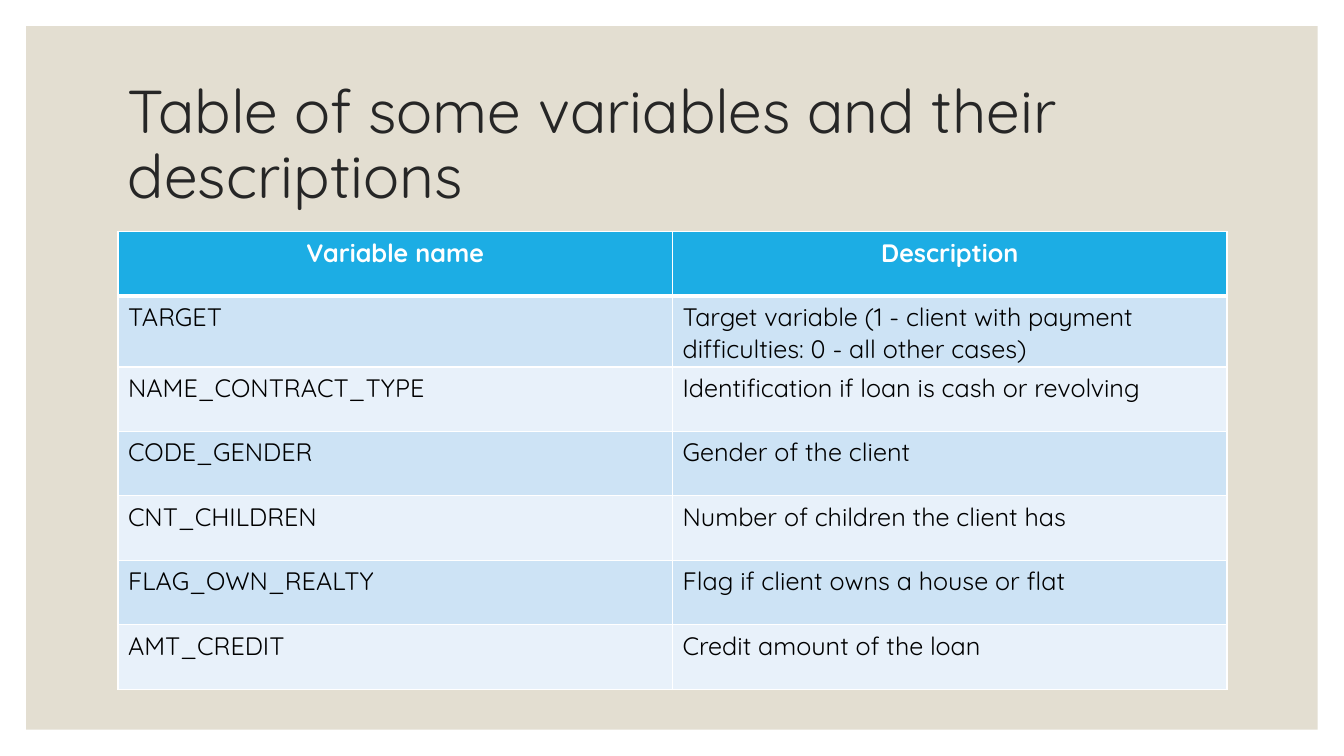
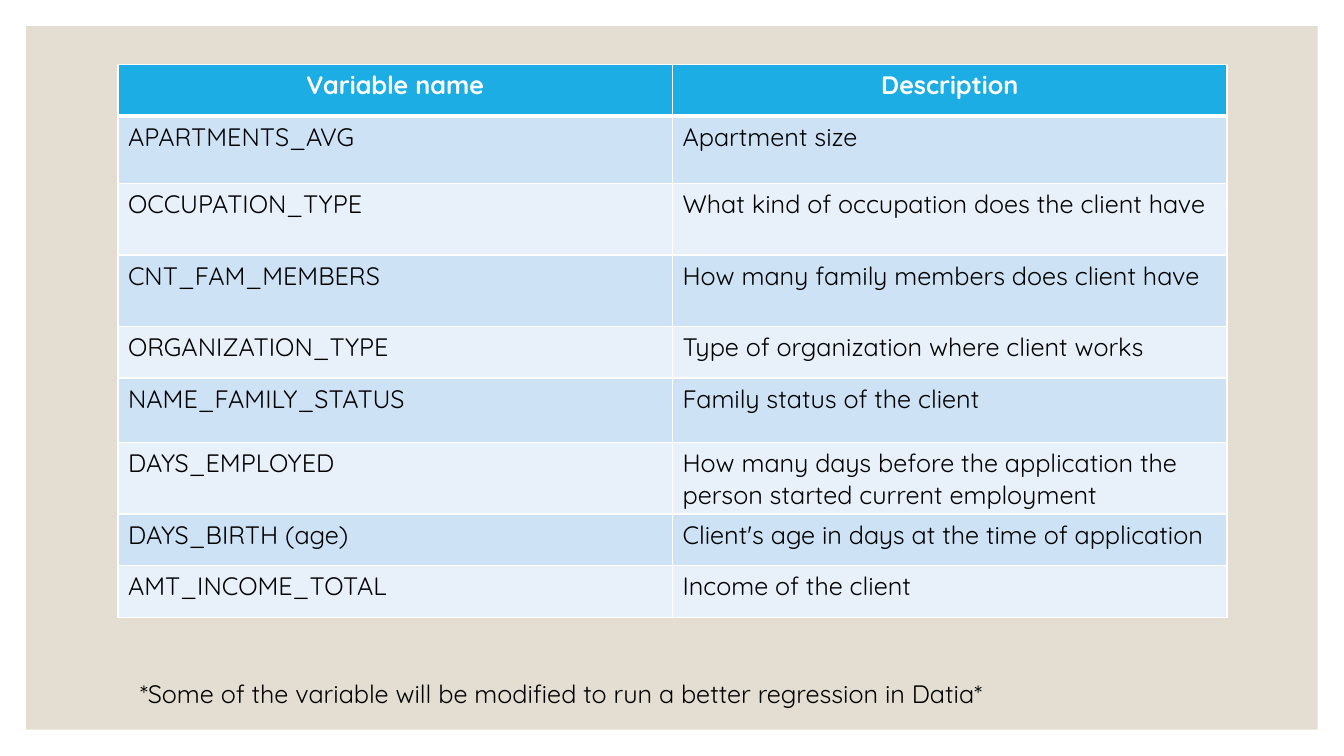
from lxml import etree
from pptx import Presentation
from pptx.dml.color import RGBColor
from pptx.enum.shapes import MSO_SHAPE
from pptx.enum.text import MSO_ANCHOR, PP_ALIGN
from pptx.oxml.ns import qn
from pptx.util import Inches, Pt

RECTANGLE = MSO_SHAPE.RECTANGLE
TOP, MIDDLE = MSO_ANCHOR.TOP, MSO_ANCHOR.MIDDLE
LEFT, CENTER = PP_ALIGN.LEFT, PP_ALIGN.CENTER

FONT = "Quicksand"
WHITE, BLACK, TITLE_COLOR = "FFFFFF", "000000", "262626"
PANEL_FILL, HEADER_FILL = "E3DED1", "1CADE4"
BAND_FILLS = ("CDE3F5", "E8F1FA")

SLIDE_WIDTH, SLIDE_HEIGHT = 13.33, 7.5
PANEL_MARGIN = 0.26
CONTENT_LEFT, CONTENT_WIDTH = 1.17, 11
HEADER = ("Variable name", "Description")

LOAN_VARIABLES = [
    ("TARGET", "Target variable (1 - client with payment difficulties: 0 - all other cases)"),
    ("NAME_CONTRACT_TYPE", "Identification if loan is cash or revolving"),
    ("CODE_GENDER", "Gender of the client"),
    ("CNT_CHILDREN", "Number of children the client has"),
    ("FLAG_OWN_REALTY", "Flag if client owns a house or flat"),
    ("AMT_CREDIT", "Credit amount of the loan"),
]
LOAN_ROW_HEIGHTS = [0.64] * (len(LOAN_VARIABLES) + 1)

CLIENT_VARIABLES = [
    ("APARTMENTS_AVG", "Apartment size"),
    ("OCCUPATION_TYPE", "What kind of occupation does the client have"),
    ("CNT_FAM_MEMBERS", "How many family members does client have"),
    ("ORGANIZATION_TYPE", "Type of organization where client works"),
    ("NAME_FAMILY_STATUS", "Family status of the client"),
    ("DAYS_EMPLOYED", "How many days before the application the person started current employment"),
    ("DAYS_BIRTH (age)", "Client's age in days at the time of application"),
    ("AMT_INCOME_TOTAL", "Income of the client"),
]
CLIENT_ROW_HEIGHTS = [0.51, 0.67, 0.71, 0.71, 0.51, 0.64, 0.71, 0.51, 0.52]


def rgb(value):
    return RGBColor.from_string(value)


def write_text(frame, text, size=18, color=BLACK, bold=False, align=LEFT,
               anchor=TOP, line_spacing=1.0):
    frame.word_wrap = True
    frame.vertical_anchor = anchor
    paragraph = frame.paragraphs[0]
    paragraph.alignment = align
    paragraph.line_spacing = line_spacing
    run = paragraph.add_run()
    run.text = text
    run.font.name = FONT
    run.font.size = Pt(size)
    run.font.bold = bold
    run.font.color.rgb = rgb(color)


def add_text(slide, box, text, **text_format):
    text_box = slide.shapes.add_textbox(*map(Inches, box))
    write_text(text_box.text_frame, text, **text_format)


def set_borders(cell, top=1, bottom=1):
    """Draw white cell borders, with widths in points; the sides are 1 point."""
    properties = cell._tc.get_or_add_tcPr()
    widths = {"a:lnL": 1, "a:lnR": 1, "a:lnT": top, "a:lnB": bottom}
    for position, (tag, width) in enumerate(widths.items()):
        line = etree.Element(qn(tag), w=str(Pt(width)))
        fill = etree.SubElement(line, qn("a:solidFill"))
        etree.SubElement(fill, qn("a:srgbClr"), val=WHITE)
        properties.insert(position, line)


def add_panel_slide(presentation):
    """Add a blank slide with the shared beige panel inside a white margin."""
    slide = presentation.slides.add_slide(presentation.slide_layouts[6])
    panel = slide.shapes.add_shape(
        RECTANGLE, Inches(PANEL_MARGIN), Inches(PANEL_MARGIN),
        Inches(SLIDE_WIDTH - 2 * PANEL_MARGIN), Inches(SLIDE_HEIGHT - 2 * PANEL_MARGIN))
    panel.shadow.inherit = False
    panel.fill.solid()
    panel.fill.fore_color.rgb = rgb(PANEL_FILL)
    panel.line.fill.background()
    return slide


def add_title(slide, text):
    add_text(slide, (CONTENT_LEFT, 0.7, CONTENT_WIDTH, 1.5), text, size=43.2,
             color=TITLE_COLOR, anchor=MIDDLE, line_spacing=0.9)


def add_variable_table(slide, top, variables, row_heights):
    rows = [HEADER, *variables]
    table = slide.shapes.add_table(
        len(rows), len(HEADER), Inches(CONTENT_LEFT), Inches(top),
        Inches(CONTENT_WIDTH), Inches(sum(row_heights))).table
    for column in table.columns:
        column.width = Inches(CONTENT_WIDTH / len(HEADER))
    for row_index, (texts, height) in enumerate(zip(rows, row_heights)):
        table.rows[row_index].height = Inches(height)
        is_header = row_index == 0
        for column_index, text in enumerate(texts):
            cell = table.cell(row_index, column_index)
            cell.fill.solid()
            cell.fill.fore_color.rgb = rgb(
                HEADER_FILL if is_header else BAND_FILLS[(row_index - 1) % 2])
            set_borders(cell, top=3 if row_index == 1 else 1, bottom=3 if is_header else 1)
            write_text(cell.text_frame, text, bold=is_header,
                       color=WHITE if is_header else BLACK,
                       align=CENTER if is_header else LEFT)


def build_loan_slide(presentation):
    slide = add_panel_slide(presentation)
    add_title(slide, "Table of some variables and their descriptions")
    add_variable_table(slide, 2.3, LOAN_VARIABLES, LOAN_ROW_HEIGHTS)


def build_client_slide(presentation):
    slide = add_panel_slide(presentation)
    add_variable_table(slide, 0.64, CLIENT_VARIABLES, CLIENT_ROW_HEIGHTS)
    add_text(slide, (1.29, 6.68, 10.88, 0.4),
             "*Some of the variable will be modified to run a better regression in Datia*")


def main():
    presentation = Presentation()
    presentation.slide_width = Inches(SLIDE_WIDTH)
    presentation.slide_height = Inches(SLIDE_HEIGHT)
    build_loan_slide(presentation)
    build_client_slide(presentation)
    presentation.save("out.pptx")


if __name__ == "__main__":
    main()
